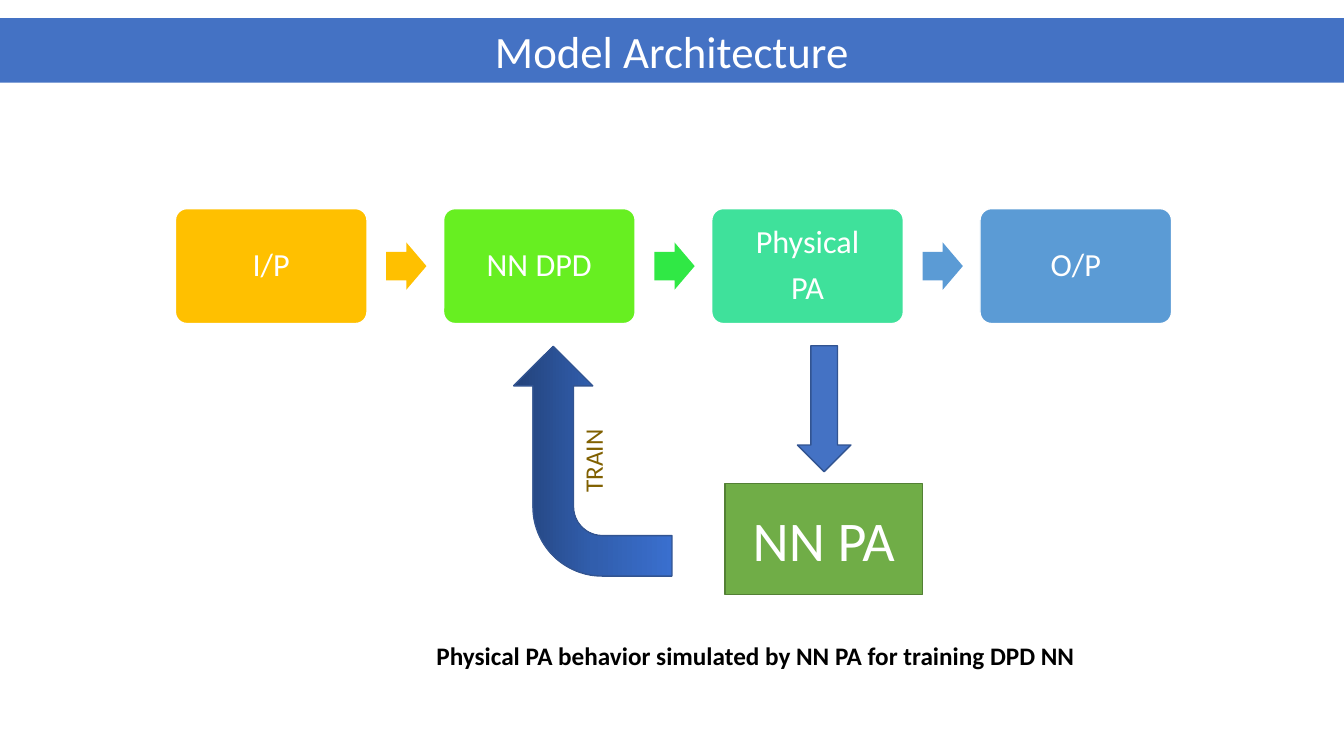
from copy import deepcopy

from pptx import Presentation
from pptx import util as u
from pptx.dml.color import RGBColor
from pptx.enum import shapes, text
from pptx.oxml.ns import qn

WHITE = RGBColor(0xFF, 0xFF, 0xFF)
BLACK = RGBColor(0x00, 0x00, 0x00)
BLUE = RGBColor(0x44, 0x72, 0xC4)
DARK_BLUE = RGBColor(0x32, 0x54, 0x91)
AMBER = RGBColor(0xFF, 0xC0, 0x00)
LIME = RGBColor(0x67, 0xEF, 0x21)
BRIGHT_GREEN = RGBColor(0x30, 0xE8, 0x45)
MINT = RGBColor(0x3F, 0xE1, 0x9B)
SKY = RGBColor(0x5B, 0x9B, 0xD5)
GREEN = RGBColor(0x70, 0xAD, 0x47)
DARK_GREEN = RGBColor(0x53, 0x80, 0x35)
BROWN = RGBColor(0x80, 0x60, 0x00)
TRAIN_GRADIENT = [
    (0, RGBColor(0x23, 0x42, 0x7A)),
    (0.5, RGBColor(0x31, 0x5E, 0xAD)),
    (1, RGBColor(0x3A, 0x6F, 0xCE)),
]
PRESETS = shapes.MSO_SHAPE

presentation = Presentation()
presentation.slide_width = u.Inches(13.33)
presentation.slide_height = u.Inches(7.5)
slide = presentation.slides.add_slide(presentation.slide_layouts[5])


def add_block(preset, left, top, width, height, fill, line=None, adjustments=()):
    shape = slide.shapes.add_shape(
        preset, u.Inches(left), u.Inches(top), u.Inches(width), u.Inches(height))
    shape.shadow.inherit = False
    shape.fill.solid()
    shape.fill.fore_color.rgb = fill
    if line is None:
        shape.line.fill.background()
    else:
        shape.line.color.rgb = line
        shape.line.width = u.Pt(1)
    for index, value in enumerate(adjustments):
        shape.adjustments[index] = value
    return shape


def write(shape, wording, size, color, align=text.PP_ALIGN.CENTER, bold=False):
    frame = shape.text_frame
    frame.text = wording
    frame.word_wrap = True
    for paragraph in frame.paragraphs:
        paragraph.alignment = align
        font = paragraph.runs[0].font
        font.name, font.size, font.bold = "Calibri", u.Pt(size), bold
        font.color.rgb = color


# Title band
title = slide.shapes.title
title.left, title.top = 0, u.Inches(0.18)
title.width, title.height = presentation.slide_width, u.Inches(0.64)
title.fill.solid()
title.fill.fore_color.rgb = BLUE
write(title, "Model Architecture", 32, WHITE)
title.text_frame.auto_size = text.MSO_AUTO_SIZE.NONE
title.text_frame.vertical_anchor = text.MSO_ANCHOR.MIDDLE

# Signal chain: each stage is followed by an arrow, except the last
CHAIN_LEFT, CHAIN_TOP, STEP = 1.74, 2.07, 2.66
STAGE_WIDTH, STAGE_HEIGHT = 1.9, 1.14
ARROW_WIDTH, ARROW_HEIGHT, ARROW_OFFSET = 0.4, 0.47, 2.09
stages = [
    ("I/P", AMBER, AMBER),
    ("NN DPD", LIME, BRIGHT_GREEN),
    ("Physical\nPA", MINT, SKY),
    ("O/P", SKY, None),
]
for column, (label, fill, arrow_fill) in enumerate(stages):
    left = CHAIN_LEFT + column * STEP
    stage = add_block(PRESETS.ROUNDED_RECTANGLE, left, CHAIN_TOP,
                      STAGE_WIDTH, STAGE_HEIGHT, fill, WHITE, [0.1])
    write(stage, label, 23, WHITE)
    for paragraph in stage.text_frame.paragraphs:
        paragraph.line_spacing = 0.9
        paragraph.space_after = u.Pt(8)
    if arrow_fill is not None:
        add_block(PRESETS.RIGHT_ARROW, left + ARROW_OFFSET,
                  CHAIN_TOP + (STAGE_HEIGHT - ARROW_HEIGHT) / 2,
                  ARROW_WIDTH, ARROW_HEIGHT, arrow_fill, None, [0.6, 0.5])

# Simulated amplifier and its training loop
add_block(PRESETS.DOWN_ARROW, 7.91, 3.43, 0.53, 1.25, BLUE, DARK_BLUE)
amplifier = add_block(PRESETS.RECTANGLE, 7.19, 4.8, 1.96, 1.1, GREEN, DARK_GREEN)
write(amplifier, "NN PA", 40, WHITE)

train = add_block(PRESETS.BENT_ARROW, 4.74, 3.79, 2.28, 1.57, BLUE, DARK_BLUE,
                  [0.256, 0.25, 0.25, 0.438])
train.rotation = 270
train.fill.gradient()
train.fill.gradient_angle = 270
stop_list = train._element.spPr.find(qn("a:gradFill")).find(qn("a:gsLst"))
stop_list.append(deepcopy(stop_list[0]))
for stop, (position, color) in zip(train.fill.gradient_stops, TRAIN_GRADIENT):
    stop.position = position
    stop.color.rgb = color
write(train, "TRAIN", 18, BROWN)

# Caption
caption = slide.shapes.add_textbox(
    u.Inches(4.23), u.Inches(6.3), u.Inches(7.07), u.Inches(0.4))
write(caption, "Physical PA behavior simulated by NN PA for training DPD NN",
      18, BLACK, text.PP_ALIGN.LEFT, bold=True)

presentation.save("out.pptx")
